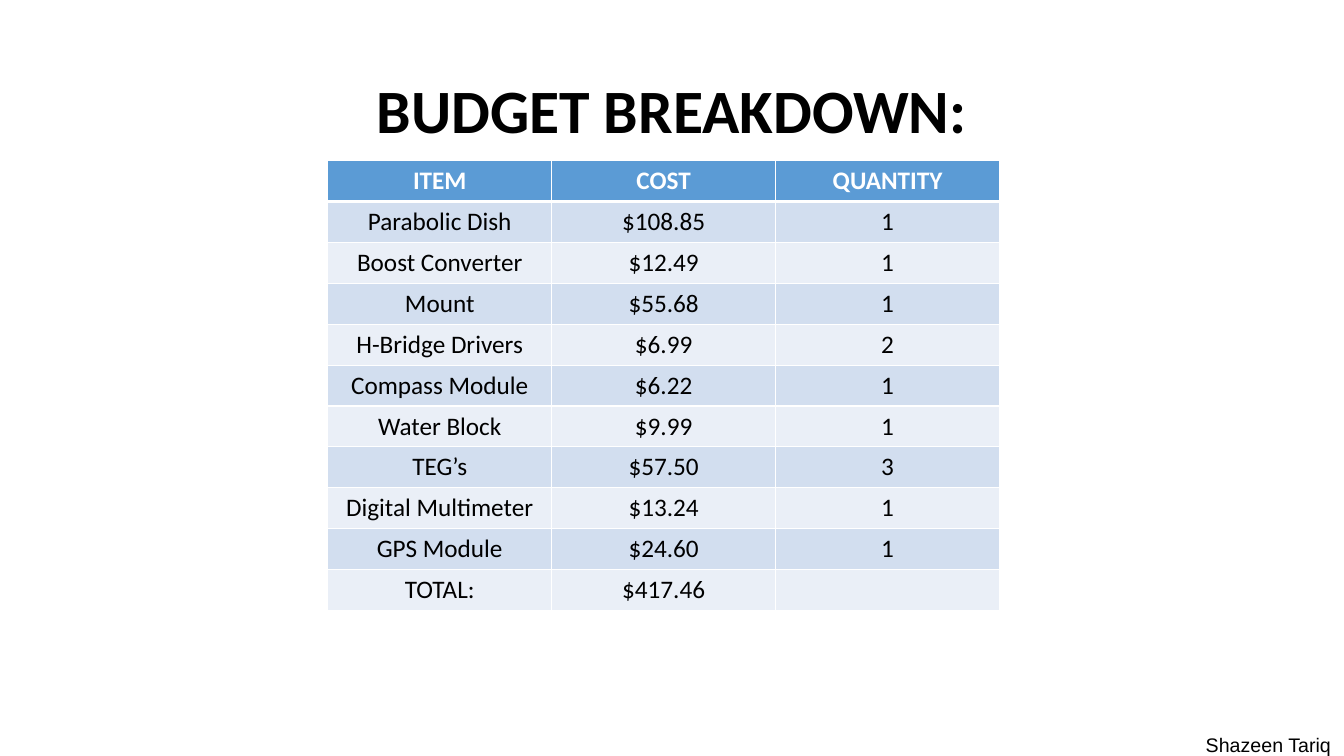
from lxml import etree
from pptx import Presentation
from pptx.dml.color import RGBColor
from pptx.enum.text import MSO_ANCHOR, PP_ALIGN
from pptx.oxml.ns import qn
from pptx.util import Cm, Pt

MIDDLE = MSO_ANCHOR.MIDDLE
CENTER = PP_ALIGN.CENTER
BLACK = RGBColor(0x00, 0x00, 0x00)
WHITE = RGBColor(0xFF, 0xFF, 0xFF)
BLUE = RGBColor(0x5B, 0x9B, 0xD5)
BANDS = (RGBColor(0xD2, 0xDE, 0xEF), RGBColor(0xEA, 0xEF, 0xF7))

ROWS = [
    ("ITEM", "COST", "QUANTITY"),
    ("Parabolic Dish", "$108.85", "1"),
    ("Boost Converter", "$12.49", "1"),
    ("Mount", "$55.68", "1"),
    ("H-Bridge Drivers", "$6.99", "2"),
    ("Compass Module", "$6.22", "1"),
    ("Water Block", "$9.99", "1"),
    ("TEG’s", "$57.50", "3"),
    ("Digital Multimeter", "$13.24", "1"),
    ("GPS Module", "$24.60", "1"),
    ("TOTAL:", "$417.46", ""),
]


def write(frame, text, size=18, font="Calibri", color=BLACK, bold=False, space=1.0):
    para = frame.paragraphs[0]
    para.alignment = CENTER
    para.line_spacing = space
    if not text:
        return
    run = para.add_run()
    run.text = text
    run.font.size = Pt(size)
    run.font.name = font
    run.font.bold = bold
    run.font.color.rgb = color


def border(cell, widths):
    props = cell._tc.get_or_add_tcPr()
    for side, width in widths.items():
        line = etree.SubElement(props, qn("a:ln" + side), w=str(Pt(width)))
        fill = etree.SubElement(line, qn("a:solidFill"))
        etree.SubElement(fill, qn("a:srgbClr"), val=str(WHITE))


def add_title(slide, left, top, width, height):
    title = slide.shapes.title
    title.left, title.top, title.width, title.height = left, top, width, height
    title.text_frame.vertical_anchor = MIDDLE
    write(title.text_frame, "BUDGET BREAKDOWN:", size=44, bold=True, space=0.9)


def add_budget(slide, left, top, width, height):
    count, cols = len(ROWS), len(ROWS[0])
    table = slide.shapes.add_table(count, cols, left, top, width, height).table
    for i, row in enumerate(ROWS):
        head = i == 0
        table.rows[i].height = height // count
        for j, text in enumerate(row):
            cell = table.cell(i, j)
            border(cell, {"L": 1, "R": 1, "T": 3 if i == 1 else 1, "B": 3 if head else 1})
            cell.fill.solid()
            cell.fill.fore_color.rgb = BLUE if head else BANDS[(i - 1) % 2]
            write(cell.text_frame, text, color=WHITE if head else BLACK, bold=head)


def add_author(slide, left, top, width, height):
    frame = slide.shapes.add_textbox(left, top, width, height).text_frame
    frame.word_wrap = True
    frame.vertical_anchor = MIDDLE
    frame.margin_top = frame.margin_bottom = 0
    write(frame, "Shazeen Tariq", size=14, font="Arial")


def main():
    deck = Presentation()
    deck.slide_width, deck.slide_height = Cm(33.87), Cm(19.05)
    slide = deck.slides.add_slide(deck.slide_layouts[5])
    add_author(slide, Cm(30.06), Cm(18.47), Cm(3.81), Cm(0.58))
    add_title(slide, Cm(2.33), Cm(1.01), Cm(29.21), Cm(3.68))
    add_budget(slide, Cm(8.26), Cm(4.05), Cm(16.93), Cm(11.33))
    deck.save("out.pptx")


if __name__ == "__main__":
    main()
